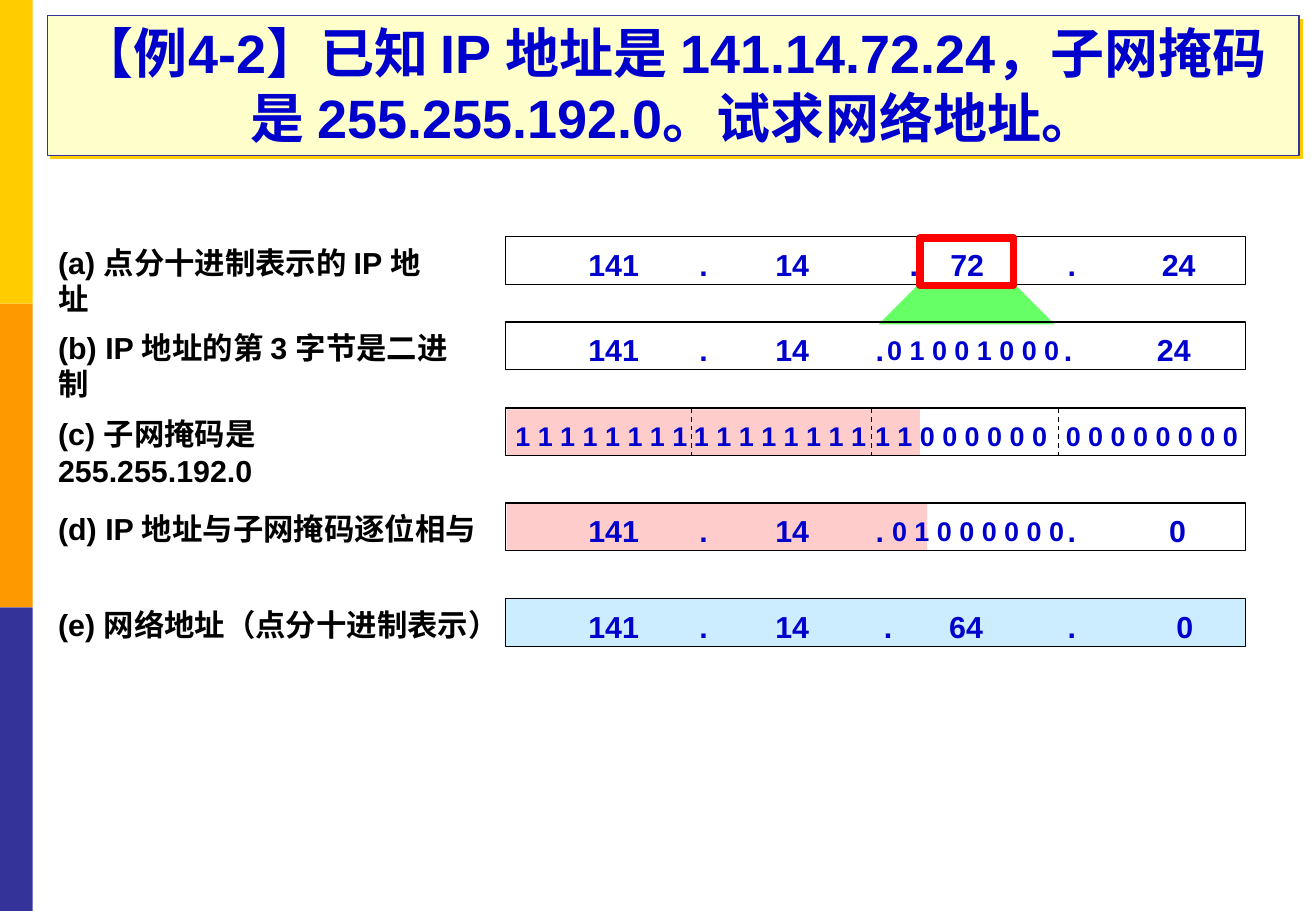
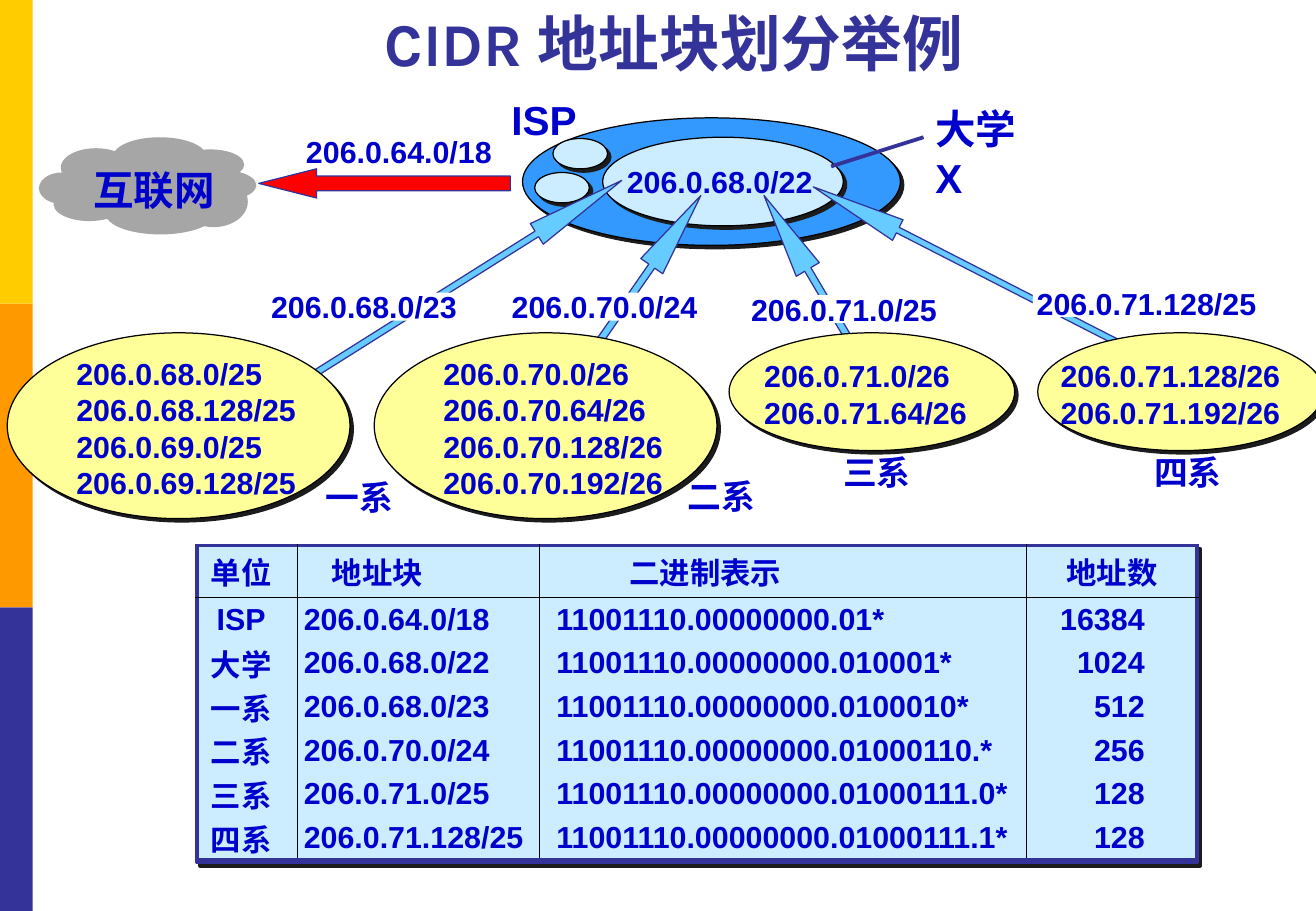
"""Build two slides on subnet masks and CIDR address blocks."""
from dataclasses import dataclass
from typing import NamedTuple, Optional

from lxml import etree
from pptx import Presentation
from pptx.dml.color import RGBColor
from pptx.enum.dml import MSO_LINE
from pptx.enum.shapes import MSO_CONNECTOR, MSO_SHAPE
from pptx.enum.text import MSO_ANCHOR, MSO_AUTO_SIZE, PP_ALIGN
from pptx.oxml.ns import qn
from pptx.util import Inches, Pt

RECT, OVAL = MSO_SHAPE.RECTANGLE, MSO_SHAPE.OVAL
TRAPEZOID, ARROW = MSO_SHAPE.TRAPEZOID, MSO_SHAPE.LEFT_ARROW
STRAIGHT, DASH = MSO_CONNECTOR.STRAIGHT, MSO_LINE.DASH
LEFT, CENTER, RIGHT = PP_ALIGN.LEFT, PP_ALIGN.CENTER, PP_ALIGN.RIGHT
TOP, MIDDLE, BOTTOM = MSO_ANCHOR.TOP, MSO_ANCHOR.MIDDLE, MSO_ANCHOR.BOTTOM
NO_AUTOFIT = MSO_AUTO_SIZE.NONE

BLUE, NAVY, BLACK, WHITE = "0000CC", "333399", "000000", "FFFFFF"
GOLD, ORANGE, CREAM, YELLOW = "FFCC00", "FF9900", "FFFFCC", "FFFF99"
PALE_BLUE, MID_BLUE, SKY = "CCECFF", "3399FF", "66CCFF"
PINK, GREEN, RED, GREY, SHADE = "FFCCCC", "66FF66", "FF0000", "A6A6A6", "1C1C1C"
FONT, TITLE_FONT = "Arial", "Karla"


class Box(NamedTuple):
    x: float
    y: float
    w: float
    h: float


class Piece(NamedTuple):
    text: str
    x: float
    size: int = 18


@dataclass
class AddressRow:
    label: str
    label_w: float
    y: float
    pieces: list[Piece]
    fill: Optional[str] = None
    mask_w: float = 0


@dataclass
class Department:
    name: str
    name_at: tuple[float, float]
    oval: Box
    indent: float
    blocks: list[str]
    prefix: str
    prefix_box: Box
    arrow: Box
    angle: float
    head: float


OCTETS = [Piece("141", 5.05), Piece(".", 5.79), Piece("14", 6.52)]
ONES, ZEROS = "1 1 1 1 1 1 1 1", "0 0 0 0 0 0 0 0"
ROWS = [
    AddressRow("(a) 点分十进制表示的 IP 地址", 3.4, 1.95, OCTETS + [
        Piece(".", 7.52), Piece("72", 7.96), Piece(".", 8.82), Piece("24", 9.7)]),
    AddressRow("(b) IP 地址的第 3 字节是二进制", 3.65, 2.65, OCTETS + [
        Piece(".", 7.24), Piece("0 1 0 0 1 0 0 0", 8.01, 16), Piece(".", 8.79),
        Piece("24", 9.66)]),
    AddressRow("(c) 子网掩码是 255.255.192.0", 3.4, 3.36, [
        Piece(ONES, 4.95, 16), Piece(ONES, 6.42, 16),
        Piece("1 1 0 0 0 0 0 0", 7.91, 16), Piece(ZEROS, 9.48, 16)], mask_w=3.4),
    AddressRow("(d) IP 地址与子网掩码逐位相与", 3.65, 4.14, OCTETS + [
        Piece(".", 7.24), Piece("0 1 0 0 0 0 0 0", 8.05, 16), Piece(".", 8.82),
        Piece("0", 9.69)], mask_w=3.46),
    AddressRow("(e) 网络地址（点分十进制表示）", 3.95, 4.93, OCTETS + [
        Piece(".", 7.31), Piece("64", 7.95), Piece(".", 8.82), Piece("0", 9.75)],
        fill=PALE_BLUE),
]
CLOUD = [
    Box(0.93, 1.13, 0.77, 0.32), Box(0.5, 1.22, 0.58, 0.32),
    Box(0.32, 1.42, 0.39, 0.26), Box(0.44, 1.54, 0.59, 0.28),
    Box(0.87, 1.59, 0.9, 0.34), Box(1.45, 1.23, 0.56, 0.25),
    Box(1.55, 1.4, 0.56, 0.25), Box(1.48, 1.45, 0.56, 0.42),
    Box(0.64, 1.32, 1.15, 0.42),
]
DEPARTMENTS = [
    Department("四系", (9.4, 3.67), Box(8.54, 2.74, 2.35, 0.97), 0.09,
               ["206.0.71.128/26", "206.0.71.192/26"], "206.0.71.128/25",
               Box(8.5, 2.38, 1.87, 0.23), Box(6.53, 2.12, 2.97, 0.19), 27.1, 4.11),
    Department("一系", (2.58, 3.88), Box(0.06, 2.74, 2.82, 1.53), 0.47,
               ["206.0.68.0/25", "206.0.68.128/25", "206.0.69.0/25",
                "206.0.69.128/25"], "206.0.68.0/23",
               Box(2.2, 2.41, 1.59, 0.23), Box(2.19, 2.23, 3.17, 0.2), 147.8, 4.13),
    Department("二系", (5.56, 3.87), Box(3.08, 2.74, 2.82, 1.53), 0.47,
               ["206.0.70.0/26", "206.0.70.64/26", "206.0.70.128/26",
                "206.0.70.192/26"], "206.0.70.0/24",
               Box(4.18, 2.41, 1.59, 0.23), Box(3.93, 2.46, 2.34, 0.22), 124.8, 3.22),
    Department("三系", (6.84, 3.67), Box(6, 2.74, 2.35, 0.97), 0.19,
               ["206.0.71.0/26", "206.0.71.64/26"], "206.0.71.0/25",
               Box(6.15, 2.43, 1.59, 0.23), Box(5.71, 2.51, 2.35, 0.22), 59.4, 3.22),
]
TABLE_BOX = Box(1.62, 4.49, 8.23, 2.61)
COLUMN_WIDTHS = [0.83, 1.99, 4.01, 1.4]
HEADER_INDENTS = [0, 0.28, 0.74, 0]
BODY_INDENTS = [0, 0.05, 0.14, 0]
HEADER_H, ROW_H = 0.43, 0.36
TABLE = [
    ("单位", "地址块", "二进制表示", "地址数"),
    ("ISP", "206.0.64.0/18", "11001110.00000000.01*", "16384"),
    ("大学", "206.0.68.0/22", "11001110.00000000.010001*", "1024"),
    ("一系", "206.0.68.0/23", "11001110.00000000.0100010*", "512"),
    ("二系", "206.0.70.0/24", "11001110.00000000.01000110.*", "256"),
    ("三系", "206.0.71.0/25", "11001110.00000000.01000111.0*", "128"),
    ("四系", "206.0.71.128/25", "11001110.00000000.01000111.1*", "128"),
]


def rgb(colour: str) -> RGBColor:
    return RGBColor.from_string(colour)


def place(sp, box: Box) -> None:
    sp.left, sp.top, sp.width, sp.height = (Inches(v) for v in box)


def paint(sp, fill=None, line=None, width=0.75, shadow=None) -> None:
    if fill:
        sp.fill.solid()
        sp.fill.fore_color.rgb = rgb(fill)
    else:
        sp.fill.background()
    if line:
        sp.line.color.rgb = rgb(line)
        sp.line.width = Pt(width)
    else:
        sp.line.fill.background()
    sp.shadow.inherit = False
    if shadow:
        effects = sp.element.spPr.find(qn("a:effectLst"))
        outer = etree.SubElement(effects, qn("a:outerShdw"), blurRad="0",
                                 dist=str(Pt(2.8)), dir="2700000",
                                 algn="ctr", rotWithShape="0")
        etree.SubElement(outer, qn("a:srgbClr"), val=shadow)


def add_shape(shapes, kind, box: Box, fill=None, line=None, width=0.75, shadow=None):
    sp = shapes.add_shape(kind, *(Inches(v) for v in box))
    paint(sp, fill, line, width, shadow)
    return sp


def add_line(s, start, end, colour=BLACK, width=0.75, dash=None) -> None:
    line = s.shapes.add_connector(STRAIGHT, *(Inches(v) for v in (*start, *end)))
    line.line.color.rgb = rgb(colour)
    line.line.width = Pt(width)
    if dash:
        line.line.dash_style = dash
    etree.SubElement(line.element.spPr, qn("a:effectLst"))


def write(tf, lines, size=18, colour=BLUE, align=LEFT, font=FONT) -> None:
    for i, text in enumerate(lines):
        p = tf.add_paragraph() if i else tf.paragraphs[0]
        p.text = text
        p.alignment = align
        p.font.name, p.font.size, p.font.bold = font, Pt(size), True
        p.font.color.rgb = rgb(colour)


def add_text(s, box: Box, lines, size=18, colour=BLUE, align=LEFT, anchor=TOP,
             wrap=False, inset=True, fill=None) -> None:
    sp = s.shapes.add_textbox(*(Inches(v) for v in box))
    tf = sp.text_frame
    tf.word_wrap, tf.vertical_anchor = wrap, anchor
    if not inset:
        tf.margin_left = tf.margin_right = tf.margin_top = tf.margin_bottom = 0
    if fill:
        sp.fill.solid()
        sp.fill.fore_color.rgb = rgb(fill)
    write(tf, lines, size, colour, align)


def set_title(s, box: Box, text, size, colour, font, anchor):
    sp = s.shapes.title
    place(sp, box)
    tf = sp.text_frame
    tf.word_wrap, tf.auto_size, tf.vertical_anchor = True, NO_AUTOFIT, anchor
    write(tf, [text], size, colour, CENTER, font)
    return sp


def add_side_band(s, layout) -> None:
    for i, colour in enumerate((GOLD, ORANGE, NAVY)):
        sp = add_shape(s.shapes, RECT, Box(0, 2.5 * i, 0.27, 2.5), colour)
        sp.element.nvSpPr.cNvPr.set("id", str(100 + i))
        layout.shapes.element.insert(2, sp.element)


def set_border(cell, side: str, colour: Optional[str], width: float) -> None:
    ln = etree.SubElement(cell._tc.get_or_add_tcPr(), qn(f"a:ln{side}"),
                          w=str(Pt(width)))
    if colour:
        fill = etree.SubElement(ln, qn("a:solidFill"))
        etree.SubElement(fill, qn("a:srgbClr"), val=colour)
    else:
        etree.SubElement(ln, qn("a:noFill"))


def add_block_table(s) -> None:
    add_shape(s.shapes, RECT, TABLE_BOX, PALE_BLUE, NAVY, 2.25, SHADE)
    n_rows, n_cols = len(TABLE), len(COLUMN_WIDTHS)
    table = s.shapes.add_table(n_rows, n_cols, *(Inches(v) for v in TABLE_BOX)).table
    table.first_row = table.horz_banding = False
    for column, w in zip(table.columns, COLUMN_WIDTHS):
        column.width = Inches(w)
    outer, inner, none = (NAVY, 2.25), (BLACK, 0.75), (None, 0)
    for r, texts in enumerate(TABLE):
        table.rows[r].height = Inches(ROW_H if r else HEADER_H)
        indents = BODY_INDENTS if r else HEADER_INDENTS
        aligns = (CENTER, LEFT, LEFT, RIGHT if r else CENTER)
        for c, text in enumerate(texts):
            cell = table.cell(r, c)
            set_border(cell, "L", *(inner if c else outer))
            set_border(cell, "R", *(inner if c < n_cols - 1 else outer))
            set_border(cell, "T", *({0: outer, 1: inner}.get(r, none)))
            set_border(cell, "B", *({0: inner, n_rows - 1: outer}.get(r, none)))
            cell.fill.solid()
            cell.fill.fore_color.rgb = rgb(PALE_BLUE)
            cell.margin_top = cell.margin_bottom = 0
            cell.margin_left = Inches(indents[c])
            cell.margin_right = Inches((0.1, 0, 0, 0.43 if r else 0)[c])
            cell.vertical_anchor = MIDDLE
            write(cell.text_frame, [text], align=aligns[c])


def add_address_row(s, row: AddressRow) -> None:
    if row.mask_w:
        add_shape(s.shapes, RECT, Box(4.17, row.y + 0.01, row.mask_w, 0.38), PINK)
    add_shape(s.shapes, RECT, Box(4.16, row.y, 6.09, 0.39), row.fill, BLACK)
    add_text(s, Box(0.38, row.y + 0.01, row.label_w, 0.4), [row.label],
             colour=BLACK, wrap=True)
    for text, x, size in row.pieces:
        add_text(s, Box(x - 0.9, row.y + 0.03, 1.8, 0.39), [text], size,
                 align=CENTER, anchor=MIDDLE)


def build_mask_slide(s) -> None:
    title = set_title(s, Box(0.39, 0.13, 10.3, 1.15),
                      "【例4-2】已知 IP 地址是 141.14.72.24，子网掩码是 255.255.192.0。试求网络地址。",
                      32, BLUE, FONT, BOTTOM)
    paint(title, CREAM, NAVY, shadow=GOLD)
    fan = add_shape(s.shapes, TRAPEZOID, Box(7.23, 2.33, 1.45, 0.34), GREEN)
    fan.adjustments[0] = 1
    for row in ROWS:
        add_address_row(s, row)
    add_shape(s.shapes, RECT, Box(7.57, 1.96, 0.77, 0.39), line=RED, width=4.5)
    for x in (5.69, 7.17, 8.71):
        add_line(s, (x, 3.36), (x, 3.75), dash=DASH)


def add_arrow(s, box: Box, fill, shaft, head, angle=0.0) -> None:
    sp = add_shape(s.shapes, ARROW, box, fill, NAVY)
    sp.adjustments[0], sp.adjustments[1] = shaft, head
    sp.rotation = angle


def add_department(s, d: Department) -> None:
    add_arrow(s, d.arrow, SKY, 0.27, d.head, d.angle)
    add_shape(s.shapes, OVAL, d.oval, YELLOW, BLACK, shadow=SHADE)
    h = 0.3 * len(d.blocks) + 0.1
    top = d.oval.y + (d.oval.h - h) / 2 + 0.02
    add_text(s, Box(d.oval.x + d.indent, top, 2.03, h), d.blocks)
    add_text(s, d.prefix_box, [d.prefix], align=CENTER, anchor=MIDDLE,
             inset=False, fill=WHITE)
    add_text(s, Box(*d.name_at, 0.77, 0.44), [d.name], 20)


def build_cidr_slide(s) -> None:
    set_title(s, Box(0.79, -0.03, 9.51, 0.76), "CIDR 地址块划分举例", 36, NAVY,
              TITLE_FONT, MIDDLE)
    cloud = s.shapes.add_group_shape()
    for puff in CLOUD:
        add_shape(cloud.shapes, OVAL, puff, GREY)
    add_text(s, Box(0.67, 1.31, 1.22, 0.5), ["互联网"], 24)
    add_shape(s.shapes, OVAL, Box(4.3, 0.97, 3.11, 1.05), MID_BLUE, BLACK, shadow=SHADE)
    for box in (Box(4.96, 1.13, 1.98, 0.73), Box(4.4, 1.42, 0.45, 0.25),
                Box(4.55, 1.14, 0.45, 0.25)):
        add_shape(s.shapes, OVAL, box, PALE_BLUE, BLACK, shadow=SHADE)
    add_text(s, Box(5.06, 1.29, 1.74, 0.4), ["206.0.68.0/22"])
    add_text(s, Box(2.42, 1.05, 1.74, 0.4), ["206.0.64.0/18"])
    add_arrow(s, Box(2.13, 1.39, 2.07, 0.24), RED, 0.5, 1.98)
    add_text(s, Box(4.11, 0.73, 0.74, 0.5), ["ISP"], 24)
    add_text(s, Box(7.6, 0.81, 1.1, 0.9), ["大学 X"], 24, wrap=True)
    add_line(s, (6.84, 1.37), (7.6, 1.13), NAVY, 2.25)
    for d in DEPARTMENTS:
        add_department(s, d)
    add_block_table(s)


def main() -> None:
    prs = Presentation()
    prs.slide_width, prs.slide_height = Inches(10.83), Inches(7.5)
    layout = prs.slide_layouts[5]
    mask_slide = prs.slides.add_slide(layout)
    add_side_band(mask_slide, layout)
    build_mask_slide(mask_slide)
    build_cidr_slide(prs.slides.add_slide(layout))
    prs.save("out.pptx")


if __name__ == "__main__":
    main()
